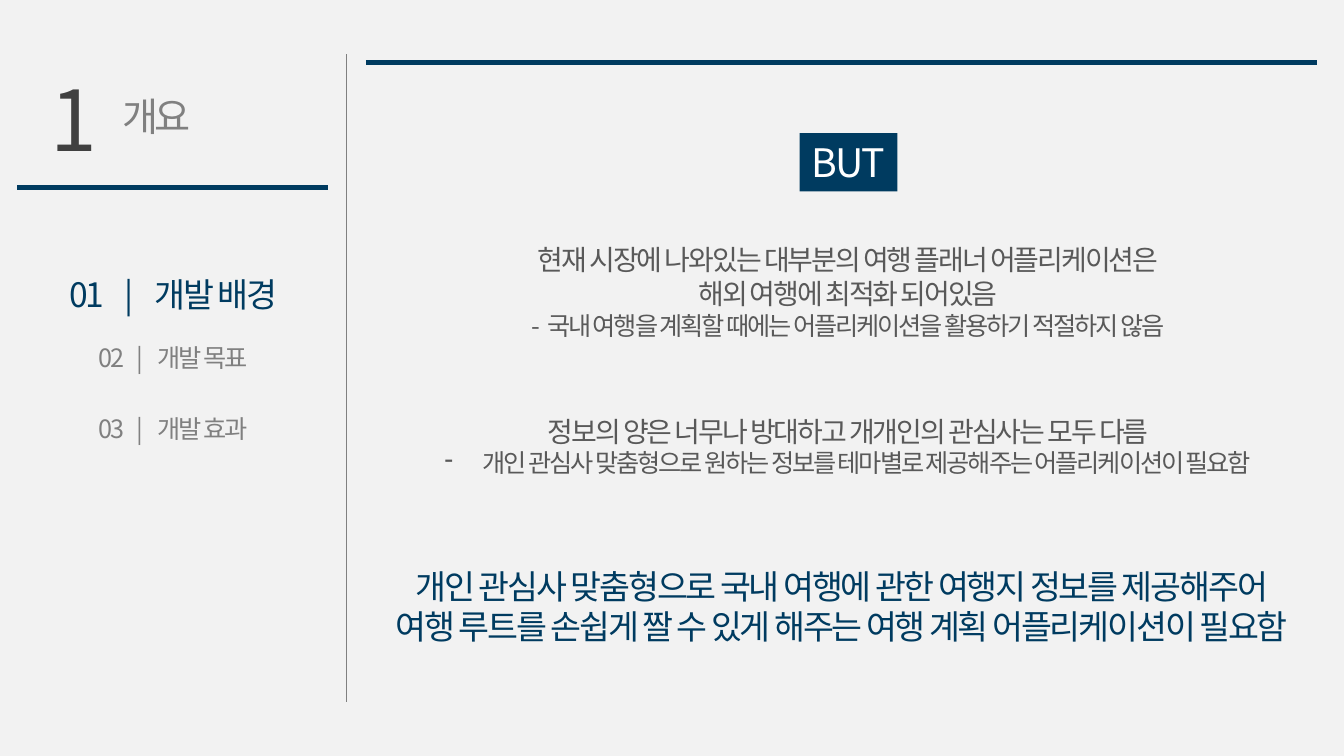
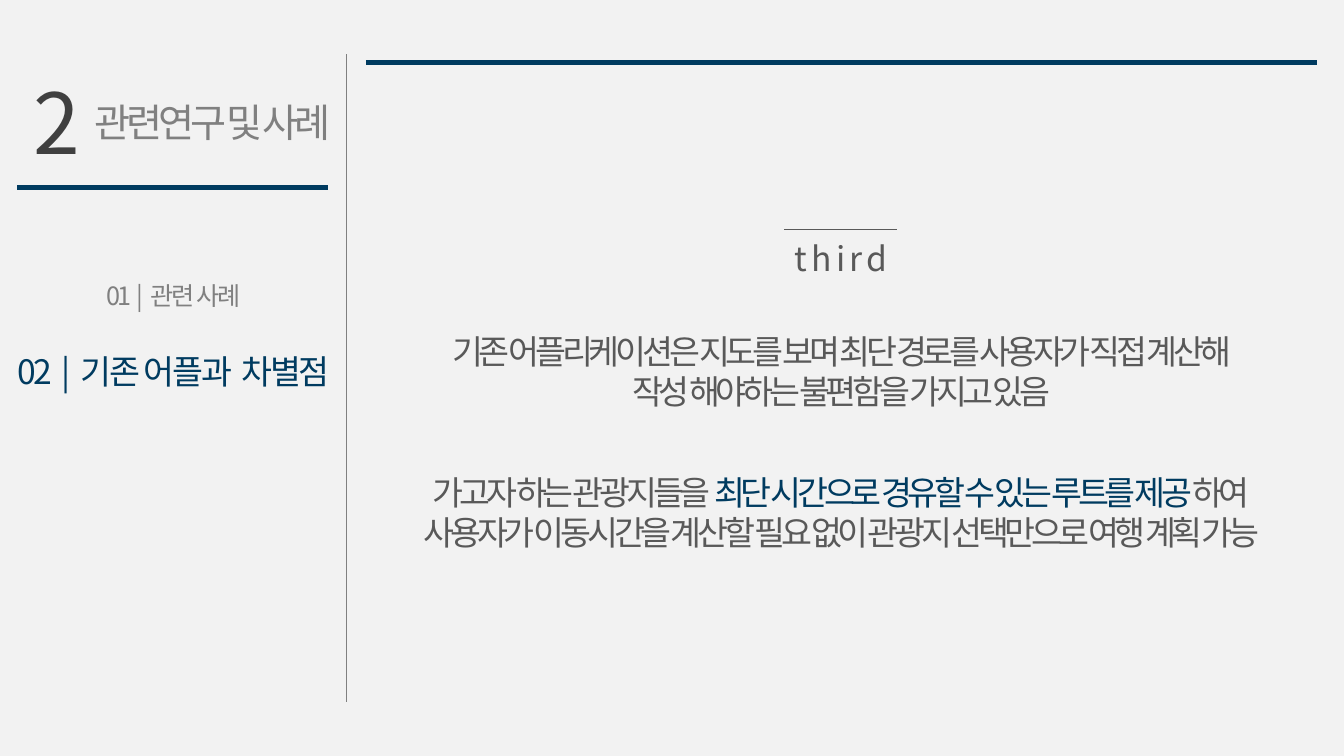
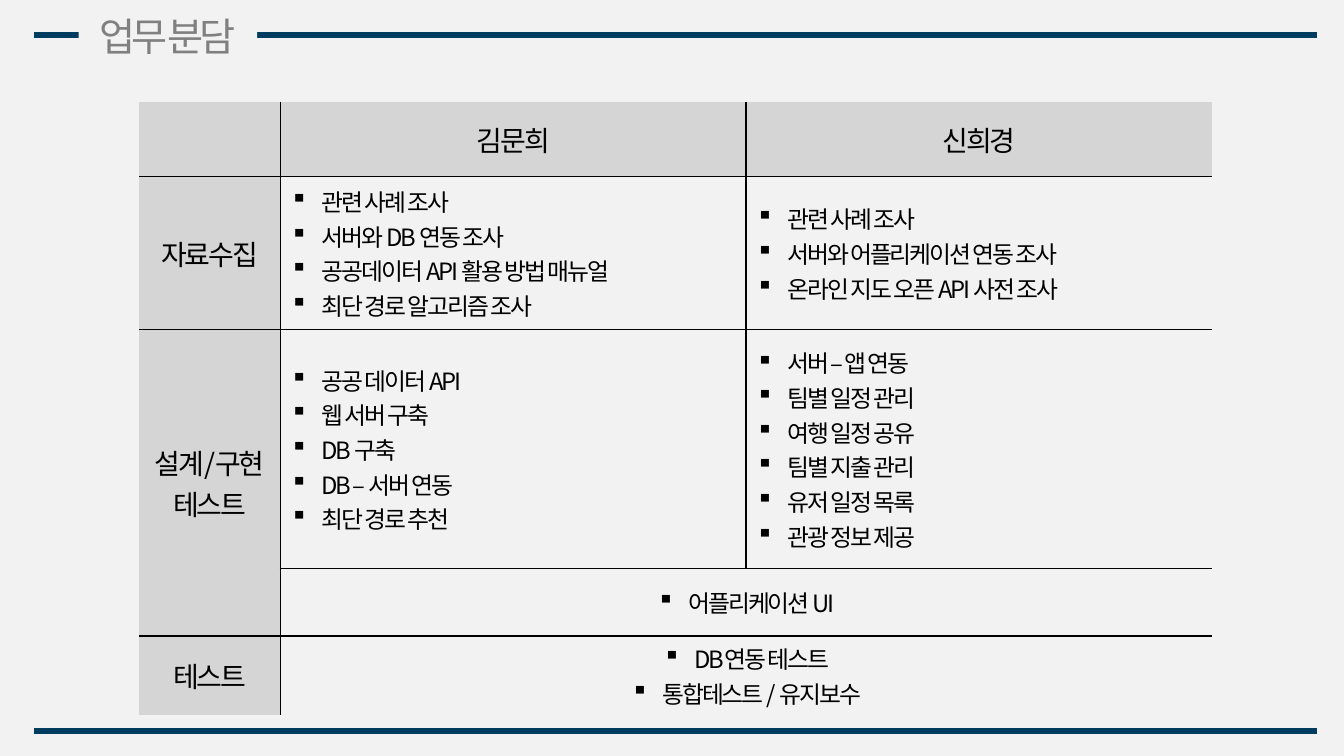
from dataclasses import dataclass
from lxml import etree
from pptx import Presentation
from pptx import util as u
from pptx.dml import color
from pptx.enum import shapes, text
from pptx.oxml import ns

COLORS = {
    "bg": "F2F2F2", "navy": "003B60", "gray": "808080", "dark": "404040",
    "body": "595959", "black": "000000", "white": "FFFFFF", "head": "D5D5D5",
}
FONT = "Noto Sans CJK KR"
PLAIN_TABLE = "{2D5ABB26-0587-4C30-8999-92F81FD0307C}"
CENTER, LEFT = text.PP_ALIGN.CENTER, text.PP_ALIGN.LEFT


@dataclass
class Para:
    runs: object
    size: float
    color: str = "body"
    spc: float = -1.5
    align: object = CENTER
    bullet: str = ""
    indent: float = 0
    before: float = 0


def rgb(name):
    return color.RGBColor.from_string(COLORS[name])


def place(sp, x, y, w, h):
    sp.left, sp.top, sp.width, sp.height = (u.Inches(v) for v in (x, y, w, h))


def write(tf, paras, anchor=text.MSO_ANCHOR.TOP):
    tf.word_wrap = True
    tf.auto_size = text.MSO_AUTO_SIZE.NONE
    tf.vertical_anchor = anchor
    write_paras(tf, paras)


def write_paras(tf, paras):
    for i, para in enumerate(paras):
        p = tf.paragraphs[0] if i == 0 else tf.add_paragraph()
        p.alignment = para.align
        p.space_before = u.Pt(para.before)
        pPr = p._p.get_or_add_pPr()
        pPr.set("marL", str(u.Inches(para.indent)))
        pPr.set("indent", str(-u.Inches(para.indent)))
        if para.bullet:
            etree.SubElement(pPr, ns.qn("a:buChar")).set("char", para.bullet)
        else:
            etree.SubElement(pPr, ns.qn("a:buNone"))
        runs = [(para.runs, para.color)] if isinstance(para.runs, str) else para.runs
        for words, name in runs:
            r = p.add_run()
            r.text = words
            r.font.size = u.Pt(para.size)
            r.font.bold = False
            r.font.color.rgb = rgb(name)
            r.font.name = FONT
            rPr = r.font._element
            rPr.set("spc", str(int(para.spc * 100)))
            etree.SubElement(rPr, ns.qn("a:ea")).set("typeface", FONT)


def add_text(s, x, y, w, h, paras):
    sp = s.shapes.add_textbox(*(u.Inches(v) for v in (x, y, w, h)))
    write(sp.text_frame, paras)


def add_line(s, x1, y1, x2, y2, name="navy", width=4):
    cx = s.shapes.add_connector(shapes.MSO_CONNECTOR.STRAIGHT,
                                *(u.Inches(v) for v in (x1, y1, x2, y2)))
    cx.line.color.rgb = rgb(name)
    cx.line.width = u.Pt(width)
    etree.SubElement(cx._element.spPr, ns.qn("a:effectLst"))


def set_title(s, x, y, w, words):
    place(s.shapes.title, x, y, w, 0.57)
    write(s.shapes.title.text_frame, [Para(words, 28, "gray", -3)])


def sidebar(s, box, number, number_at, title, title_at, title_w, agenda, agenda_y):
    x, y, w, h = box
    add_line(s, x + w, y, x + w, y + h, "gray", 0.5)
    add_text(s, x + number_at[0], y + number_at[1], 0.91, 1.3,
             [Para(number, 60, "dark", -3, LEFT)])
    set_title(s, x + title_at[0], y + title_at[1], title_w, title)
    add_line(s, x + 0.17, y + 1.32, x + w - 0.19, y + 1.32)
    body = s.placeholders[1]
    place(body, x, y + agenda_y, w, 2)
    write(body.text_frame, [
        Para(words, 24 if active else 18, "navy" if active else "gray", before=gap)
        for words, active, gap in agenda])


def need_content(s, box):
    x, y, w, h = box
    add_line(s, x, y, x + w, y)
    add_text(s, x + 0.22, y + 1.74, 9.12, 1.11, [
        Para("현재 시장에 나와있는 대부분의 여행 플래너 어플리케이션은", 20),
        Para("해외 여행에 최적화 되어있음", 20),
        Para("-  국내 여행을 계획할 때에는 어플리케이션을 활용하기 적절하지 않음", 18)])
    add_text(s, x + 0.16, y + 4.94, 9.12, 0.91, [
        Para("개인 관심사 맞춤형으로 국내 여행에 관한 여행지 정보를 제공해주어", 24, "navy"),
        Para("여행 루트를 손쉽게 짤 수 있게 해주는 여행 계획 어플리케이션이 필요함", 24, "navy")])
    add_text(s, x + 0.22, y + 3.44, 9.12, 0.74, [
        Para("정보의 양은 너무나 방대하고 개개인의 관심사는 모두 다름", 20),
        Para("개인 관심사 맞춤형으로 원하는 정보를 테마별로 제공해주는 어플리케이션이 필요함",
             18, bullet="-", indent=0.38)])
    but = s.shapes.add_shape(shapes.MSO_SHAPE.RECTANGLE, 0, 0, 0, 0)
    place(but, x + 4.3, y + 0.7, 0.97, 0.58)
    but.shadow.inherit = False
    but.fill.solid()
    but.fill.fore_color.rgb = rgb("navy")
    but.line.fill.background()
    write(but.text_frame, [Para("BUT", 28, "white")], text.MSO_ANCHOR.MIDDLE)


def difference_content(s, box):
    x, y, w, h = box
    add_line(s, x, y, x + w, y)
    add_text(s, x, y + 4.01, w, 0.91, [
        Para([("가고자 하는 관광지들을 ", "body"),
              ("최단 시간으로 경유할 수 있는 루트를 제공", "navy"),
              ("하여", "body")], 24, spc=-3),
        Para("사용자가 이동시간을 계산할 필요 없이 관광지 선택만으로 여행 계획 가능", 24, spc=-3)])
    add_text(s, x, y + 2.61, w, 0.91, [
        Para("기존 어플리케이션은 지도를 보며 최단 경로를 사용자가 직접 계산해", 24, spc=-3),
        Para("작성 해야하는 불편함을 가지고 있음", 24, spc=-3)])
    add_line(s, x + 4.15, y + 1.66, x + 5.27, y + 1.66, "body", 0.5)
    add_text(s, x + 4.1, y + 1.69, 1.22, 0.5, [Para("third", 24, spc=3)])


def frame(s, box, title):
    x, y, w, h = box
    for line_y in (y, y + h):
        add_line(s, x, line_y, x + w, line_y)
    set_title(s, x + 0.44, y - 0.28, 1.77, title)
    sp = s.shapes.title
    sp.fill.solid()
    sp.fill.fore_color.rgb = rgb("bg")
    sp.element.getparent().append(sp.element)


def add_borders(cell, r, c, owner):
    tcPr = cell._tc.get_or_add_tcPr()
    sides = (("a:lnL", 0, -1), ("a:lnR", 0, 1), ("a:lnT", -1, 0), ("a:lnB", 1, 0))
    drawn = [tag for tag, dr, dc in sides
             if owner.get((r + dr, c + dc), owner[r, c]) != owner[r, c]]
    for i, tag in enumerate(drawn):
        ln = etree.Element(ns.qn(tag), w=str(u.Pt(1)))
        fill = etree.SubElement(ln, ns.qn("a:solidFill"))
        etree.SubElement(fill, ns.qn("a:srgbClr")).set("val", COLORS["black"])
        tcPr.insert(i, ln)


def work_table(s, box, cols, rows, cells, merges):
    gf = s.shapes.add_table(len(rows), len(cols), *(u.Inches(v) for v in box))
    gf.element.find(".//" + ns.qn("a:tableStyleId")).text = PLAIN_TABLE
    t = gf.table
    for col, width in zip(t.columns, cols):
        col.width = u.Inches(width)
    for row, height in zip(t.rows, rows):
        row.height = u.Inches(height)
    owner = {(r, c): (r, c) for r in range(len(rows)) for c in range(len(cols))}
    for start, end in merges:
        t.cell(*start).merge(t.cell(*end))
        owner[end] = start
    for r, c in owner:
        cell = t.cell(r, c)
        heading = r == 0 or c == 0
        if heading:
            cell.fill.solid()
            cell.fill.fore_color.rgb = rgb("head")
        else:
            cell.fill.background()
        cell.vertical_anchor = text.MSO_ANCHOR.MIDDLE
        add_borders(cell, r, c, owner)
        if heading:
            paras = [Para(words, 20, "black") for words in cells.get((r, c), [])]
        else:
            align = CENTER if r > 2 else LEFT
            paras = [Para(words, 17, "black", align=align, bullet="▪", indent=0.31)
                     for words in cells.get((r, c), [])]
        write_paras(cell.text_frame, paras)


def main():
    prs = Presentation()
    prs.slide_width, prs.slide_height = u.Inches(13.33), u.Inches(7.5)
    bg = prs.slide_master.background.fill
    bg.solid()
    bg.fore_color.rgb = rgb("bg")
    side_box = (0, 0.54, 3.44, 6.42)
    content_box = (3.63, 0.62, 9.43, 6.34)

    s = prs.slides.add_slide(prs.slide_layouts[1])
    sidebar(s, side_box, "1", (0.4, 0.08), "개요", (0.78, 0.33), 1.54, [
        ("01    |    개발 배경", True, 0),
        ("02    |    개발 목표", False, 20),
        ("03    |    개발 효과", False, 29)], 2.13)
    need_content(s, content_box)

    s = prs.slides.add_slide(prs.slide_layouts[1])
    sidebar(s, side_box, "2", (0.23, 0.11), "관련연구 및 사례", (0.78, 0.39), 2.66, [
        ("01  |  관련 사례", False, 0),
        ("02  |  기존 어플과  차별점", True, 29)], 2.19)
    difference_content(s, content_box)

    s = prs.slides.add_slide(prs.slide_layouts[5])
    frame(s, (0.34, 0.35, 12.72, 6.9), "업무 분담")
    work_table(s, (1.38, 1.01, 10.64, 5.97), (1.4, 4.62, 4.62),
               (0.74, 1.52, 2.37, 0.67, 0.67), {
        (0, 1): ["김문희"],
        (0, 2): ["신희경"],
        (1, 0): ["자료수집"],
        (1, 1): ["관련 사례 조사", "서버와 DB 연동 조사",
                 "공공데이터 API 활용 방법 매뉴얼", "최단 경로 알고리즘 조사"],
        (1, 2): ["관련 사례 조사", "서버와 어플리케이션 연동 조사",
                 "온라인 지도 오픈 API 사전 조사"],
        (2, 0): ["설계/구현", "테스트"],
        (2, 1): ["공공 데이터 API", "웹 서버 구축", "DB 구축",
                 "DB – 서버 연동", "최단 경로 추천"],
        (2, 2): ["서버 – 앱 연동", "팀별 일정 관리", "여행 일정 공유",
                 "팀별 지출 관리", "유저 일정 목록", "관광 정보 제공"],
        (3, 1): ["어플리케이션 UI"],
        (4, 0): ["테스트"],
        (4, 1): ["DB연동 테스트", "통합테스트 / 유지보수"],
    }, [((2, 0), (3, 0)), ((3, 1), (3, 2)), ((4, 1), (4, 2))])

    prs.save("out.pptx")


if __name__ == "__main__":
    main()
